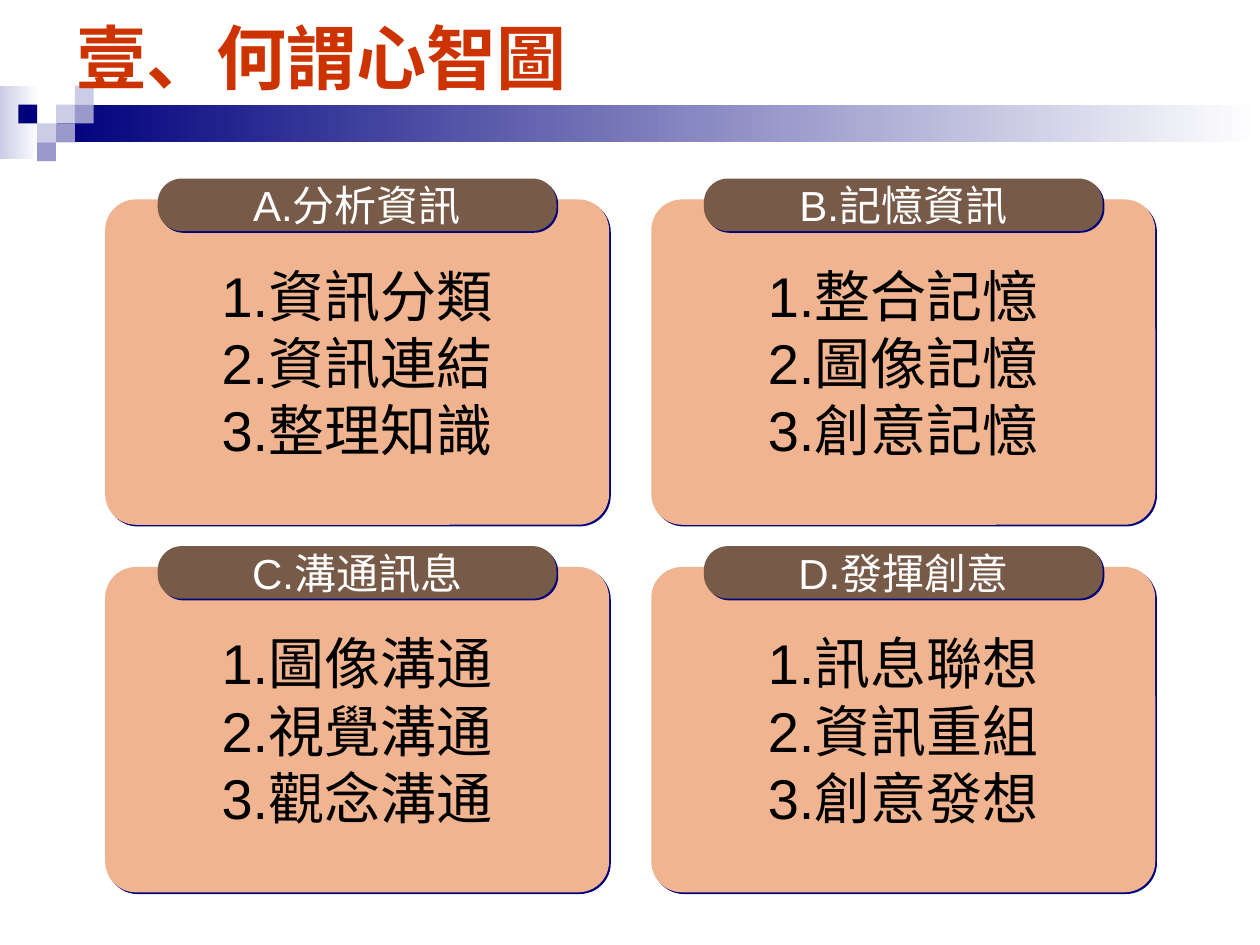
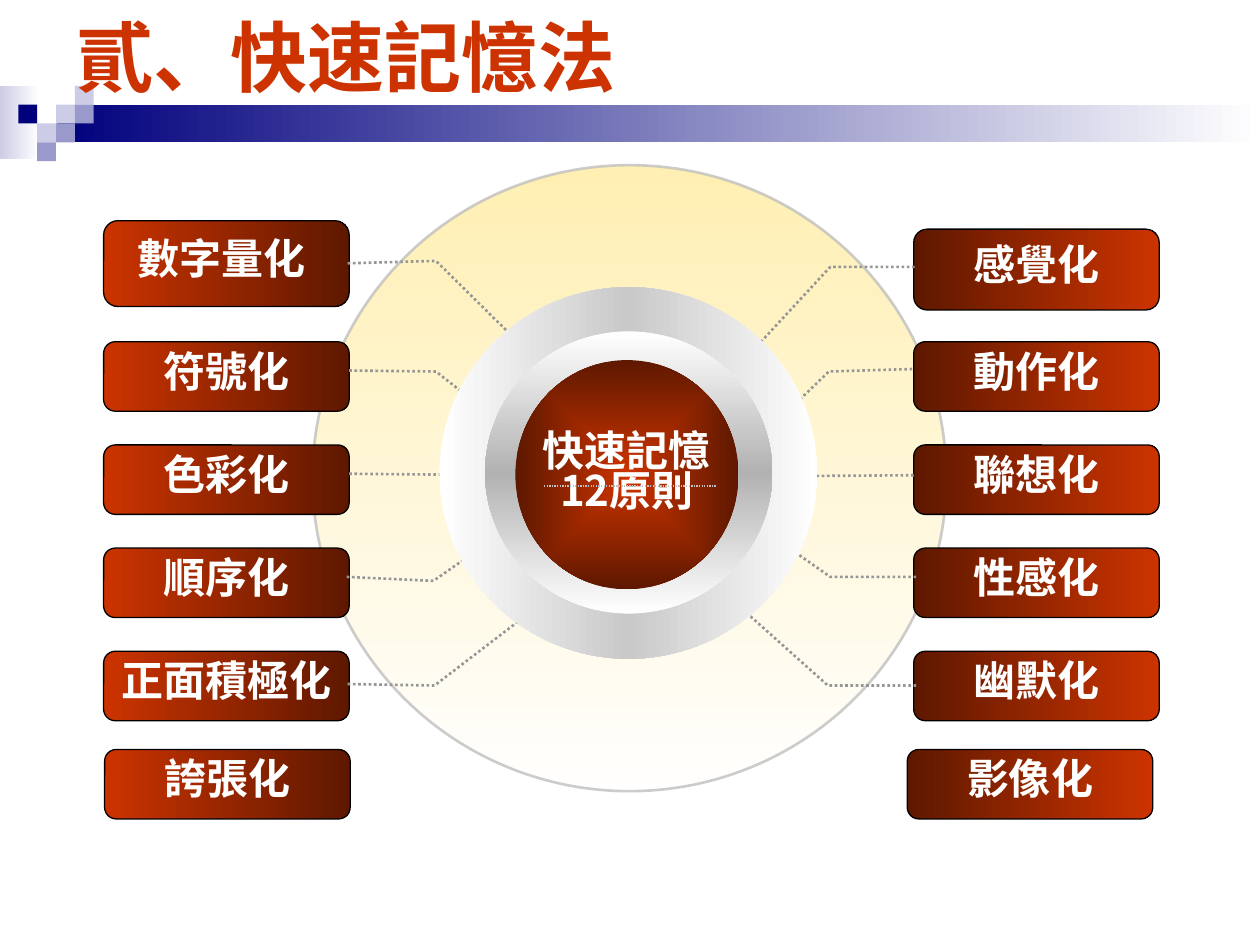
from dataclasses import dataclass
from typing import NamedTuple

from lxml import etree
from pptx import Presentation
from pptx import util as u
from pptx.dml import color
from pptx.enum import dml, shapes, text
from pptx.oxml import ns

# Shared colours and fonts
NAVY, LAVENDER, PERIWINKLE = "00007D", "CCCCE6", "9999CC"
RED, DARK_RED = "CC3300", "5E1800"
PEACH, BROWN = "F0B590", "785A48"
WHITE, BLACK, SILVER, GREY = "FFFFFF", "000000", "C0C0C0", "969696"
LATIN, CJK = "Arial", "Noto Sans CJK SC"
KIND = shapes.MSO_SHAPE


class Box(NamedTuple):
    """Left, top, width and height in centimetres."""
    left: float
    top: float
    width: float
    height: float


class Gradient(NamedTuple):
    colours: tuple[str, ...]
    angle: int | None = 0  # None: from the centre outwards
    opacity: int = 100


class Style(NamedTuple):
    size: float
    colour: str
    font: str = LATIN
    bold: bool = False
    spacing: float = 1.0


class Outline(NamedTuple):
    colour: str
    width: float
    dotted: bool = False
    opacity: int = 100


@dataclass
class Card:
    heading: str
    items: tuple[str, ...]


@dataclass
class Principle:
    label: str
    box: Box
    fill: Gradient


def rgb(value: str) -> color.RGBColor:
    return color.RGBColor.from_string(value)


def add_xml(parent, tag: str, **attributes):
    element = etree.SubElement(parent, ns.qn(f"a:{tag}"))
    for name, value in attributes.items():
        element.set(name, str(value))
    return element


def add_colour(parent, value: str, opacity: int = 100) -> None:
    element = add_xml(parent, "srgbClr", val=value)
    if opacity < 100:
        add_xml(element, "alpha", val=opacity * 1000)


def set_gradient(shape, gradient: Gradient) -> None:
    shape.fill.gradient()
    fill = shape._element.spPr.find(ns.qn("a:gradFill"))
    for child in list(fill):
        fill.remove(child)
    stops = add_xml(fill, "gsLst")
    last = len(gradient.colours) - 1
    for index, value in enumerate(gradient.colours):
        stop = add_xml(stops, "gs", pos=100000 * index // last)
        add_colour(stop, value, gradient.opacity)
    if gradient.angle is None:
        centre = add_xml(fill, "path", path="rect")
        add_xml(centre, "fillToRect", l=50000, t=50000, r=50000, b=50000)
    else:
        add_xml(fill, "lin", ang=gradient.angle * 60000, scaled=0)


def set_outline(shape, outline: Outline) -> None:
    line = shape.line
    line.color.rgb = rgb(outline.colour)
    line.width = u.Pt(outline.width)
    if outline.dotted:
        line.dash_style = dml.MSO_LINE.ROUND_DOT
    if outline.opacity < 100:
        solid = shape._element.spPr.find(f"{ns.qn('a:ln')}/{ns.qn('a:solidFill')}")
        add_xml(solid[0], "alpha", val=outline.opacity * 1000)


def add_run(paragraph, content: str, style: Style) -> None:
    run = paragraph.add_run()
    run.text = content
    run.font.size = u.Pt(style.size)
    run.font.bold = style.bold
    run.font.color.rgb = rgb(style.colour)
    run.font.name = style.font
    add_xml(run._r.get_or_add_rPr(), "ea", typeface=CJK)


def write_lines(shape, lines: tuple[str, ...], style: Style) -> None:
    frame = shape.text_frame
    frame.word_wrap = False
    frame.vertical_anchor = text.MSO_ANCHOR.MIDDLE
    for index, content in enumerate(lines):
        paragraph = frame.add_paragraph() if index else frame.paragraphs[0]
        paragraph.alignment = text.PP_ALIGN.CENTER
        paragraph.line_spacing = style.spacing
        add_run(paragraph, content, style)


def add_shape(slide, kind, box: Box, fill: str | Gradient,
              outline: Outline | None = None, adjustment: float | None = None):
    shape = slide.shapes.add_shape(kind, *map(u.Cm, box))
    shape.shadow.inherit = False
    if adjustment is not None:
        shape.adjustments[0] = adjustment
    if isinstance(fill, Gradient):
        set_gradient(shape, fill)
    else:
        shape.fill.solid()
        shape.fill.fore_color.rgb = rgb(fill)
    if outline:
        set_outline(shape, outline)
    else:
        shape.line.fill.background()
    return shape


def add_hard_shadow(shape) -> None:
    effects = shape._element.spPr.find(ns.qn("a:effectLst"))
    shadow = add_xml(effects, "outerShdw", blurRad=0, dist=u.Pt(1.4),
                     dir=45 * 60000, algn="ctr", rotWithShape=0)
    add_colour(shadow, NAVY)


def add_leader(slide, points: tuple[tuple[float, float], ...], outline: Outline) -> None:
    """Draw a straight connector for two points and a bent line for more."""
    start, *others = [(u.Cm(x), u.Cm(y)) for x, y in points]
    if len(others) == 1:
        line = slide.shapes.add_connector(shapes.MSO_CONNECTOR.STRAIGHT, *start, *others[0])
        set_outline(line, outline)
        add_xml(line._element.spPr, "effectLst")
        return
    builder = slide.shapes.build_freeform(*start)
    builder.add_line_segments(others, close=False)
    line = builder.convert_to_shape()
    line.shadow.inherit = False
    line.fill.background()
    set_outline(line, outline)


# Title and band of every slide
SQUARE = 0.38
SQUARES = ((2, 1, LAVENDER), (3, 0, LAVENDER), (3, 1, PERIWINKLE), (1, 2, LAVENDER),
           (0, 1, NAVY), (2, 2, PERIWINKLE), (1, 3, PERIWINKLE))


def start_slide(presentation, numeral: str, title: str, size: float):
    slide = presentation.slides.add_slide(presentation.slide_layouts[6])
    add_shape(slide, KIND.RECTANGLE, Box(0, 1.73, 0.79, 1.47), Gradient((LAVENDER, WHITE)))
    add_shape(slide, KIND.RECTANGLE, Box(1.14, 2.11, 24.26, 0.76), Gradient((NAVY, WHITE)))
    for column, row, fill in SQUARES:
        box = Box((column + 1) * SQUARE - 0.01, 1.73 + row * SQUARE, SQUARE, SQUARE)
        add_shape(slide, KIND.RECTANGLE, box, fill)
    frame = slide.shapes.add_textbox(*map(u.Cm, Box(1.3, 0.33, 22.86, 1.6))).text_frame
    frame.word_wrap = True
    frame.vertical_anchor = text.MSO_ANCHOR.MIDDLE
    add_run(frame.paragraphs[0], numeral, Style(size, RED, CJK, True))
    add_run(frame.paragraphs[0], title, Style(size, RED, LATIN, True))
    return slide


# Slide 1: four cards in a grid
CARDS = (
    Card("A.分析資訊", ("1.資訊分類", "2.資訊連結", "3.整理知識")),
    Card("B.記憶資訊", ("1.整合記憶", "2.圖像記憶", "3.創意記憶")),
    Card("C.溝通訊息", ("1.圖像溝通", "2.視覺溝通", "3.觀念溝通")),
    Card("D.發揮創意", ("1.訊息聯想", "2.資訊重組", "3.創意發想")),
)


def build_mind_map_slide(presentation) -> None:
    slide = start_slide(presentation, "壹", "、何謂心智圖", 40)
    for index, card in enumerate(CARDS):
        row, column = divmod(index, 2)
        left, top = 2.12 + column * 11.01, 4.02 + row * 7.41
        parts = (
            (Box(left, top, 10.16, 6.56), PEACH, 0.095, card.items, Style(32, BLACK)),
            (Box(left + 1.06, top - 0.42, 8.04, 1.06), BROWN, 0.458,
             (card.heading,), Style(24, WHITE)),
        )
        for box, fill, rounding, lines, style in parts:
            shape = add_shape(slide, KIND.ROUNDED_RECTANGLE, box, fill, adjustment=rounding)
            add_hard_shadow(shape)
            write_lines(shape, lines, style)


# Slide 2: twelve principles around a hub
LEFT_LABELS = ("數字量化 ", "符號化", "色彩化", "順序化", "正面積極化", "誇張化")
RIGHT_LABELS = ("感覺化", "動作化", "聯想化", "性感化", "幽默化", "影像化")
MIDDLE_ROWS = [(6.89 + 2.08 * row, 1.4) for row in range(4)]
LAST_ROW = (15.11, 1.4)
LEADERS = (
    ((7.04, 7.47), (8.79, 7.49), (10.44, 8.79)),
    ((7.01, 13.79), (8.76, 13.82), (11.28, 11.89)),
    ((6.99, 11.63), (8.74, 11.71), (10.41, 10.54)),
    ((7.01, 5.31), (8.79, 5.26), (11.13, 7.57)),
    ((7.04, 9.55), (10.29, 9.58)),
    ((18.44, 5.38), (16.74, 5.38), (14.76, 7.52)),
    ((18.39, 7.44), (16.71, 7.49), (15.47, 8.69)),
    ((18.42, 9.58), (15.57, 9.6)),
    ((18.47, 11.63), (16.74, 11.63), (15.44, 10.72)),
    ((18.47, 13.82), (16.69, 13.82), (14.53, 11.89)),
)


def side_principles(labels: tuple[str, ...], left: float, last_left: float,
                    first_row: tuple[float, float], fill: Gradient) -> list[Principle]:
    rows = [first_row, *MIDDLE_ROWS, LAST_ROW]
    lefts = [left] * 5 + [last_left]
    return [Principle(label, Box(x, top, 4.95, height), fill)
            for label, x, (top, height) in zip(labels, lefts, rows)]


def build_memory_slide(presentation) -> None:
    slide = start_slide(presentation, "貳", "、快速記憶法", 44)
    add_shape(slide, KIND.OVAL, Box(6.3, 3.33, 12.78, 12.62),
              Gradient(("FFCC00", WHITE), 90, 30), Outline(SILVER, 1.5, opacity=80))

    # Principles on both sides, darker towards the hub
    principles = (
        side_principles(LEFT_LABELS, 2.09, 2.11, (4.45, 1.73), Gradient((RED, DARK_RED)))
        + side_principles(RIGHT_LABELS, 18.42, 18.29, (4.62, 1.63), Gradient((DARK_RED, RED))))
    for principle in principles:
        shape = add_shape(slide, KIND.ROUNDED_RECTANGLE, principle.box, principle.fill,
                          Outline(BLACK, 0.75), 0.167)
        write_lines(shape, (principle.label,), Style(24, WHITE, CJK, True, 0.7))

    for points in LEADERS:
        add_leader(slide, points, Outline(GREY, 1.5, dotted=True))

    # Hub: two rings, core and divider
    add_shape(slide, KIND.DONUT, Box(8.86, 5.79, 7.62, 7.49),
              Gradient((WHITE, "C9C9C9", WHITE)), adjustment=0.25)
    add_shape(slide, KIND.DONUT, Box(9.78, 6.68, 5.79, 5.69),
              Gradient((WHITE, "B2B2B2", WHITE), 90), adjustment=0.2)
    core = add_shape(slide, KIND.OVAL, Box(10.39, 7.26, 4.5, 4.62),
                     Gradient((RED, DARK_RED), None))
    write_lines(core, ("快速記憶", "12原則"), Style(24, WHITE, CJK, True, 0.8))
    add_leader(slide, ((10.97, 9.8), (14.45, 9.8)), Outline(SILVER, 0.75, dotted=True))


def main() -> None:
    presentation = Presentation()
    presentation.slide_width, presentation.slide_height = u.Cm(25.4), u.Cm(19.05)
    build_mind_map_slide(presentation)
    build_memory_slide(presentation)
    presentation.save("out.pptx")


if __name__ == "__main__":
    main()
